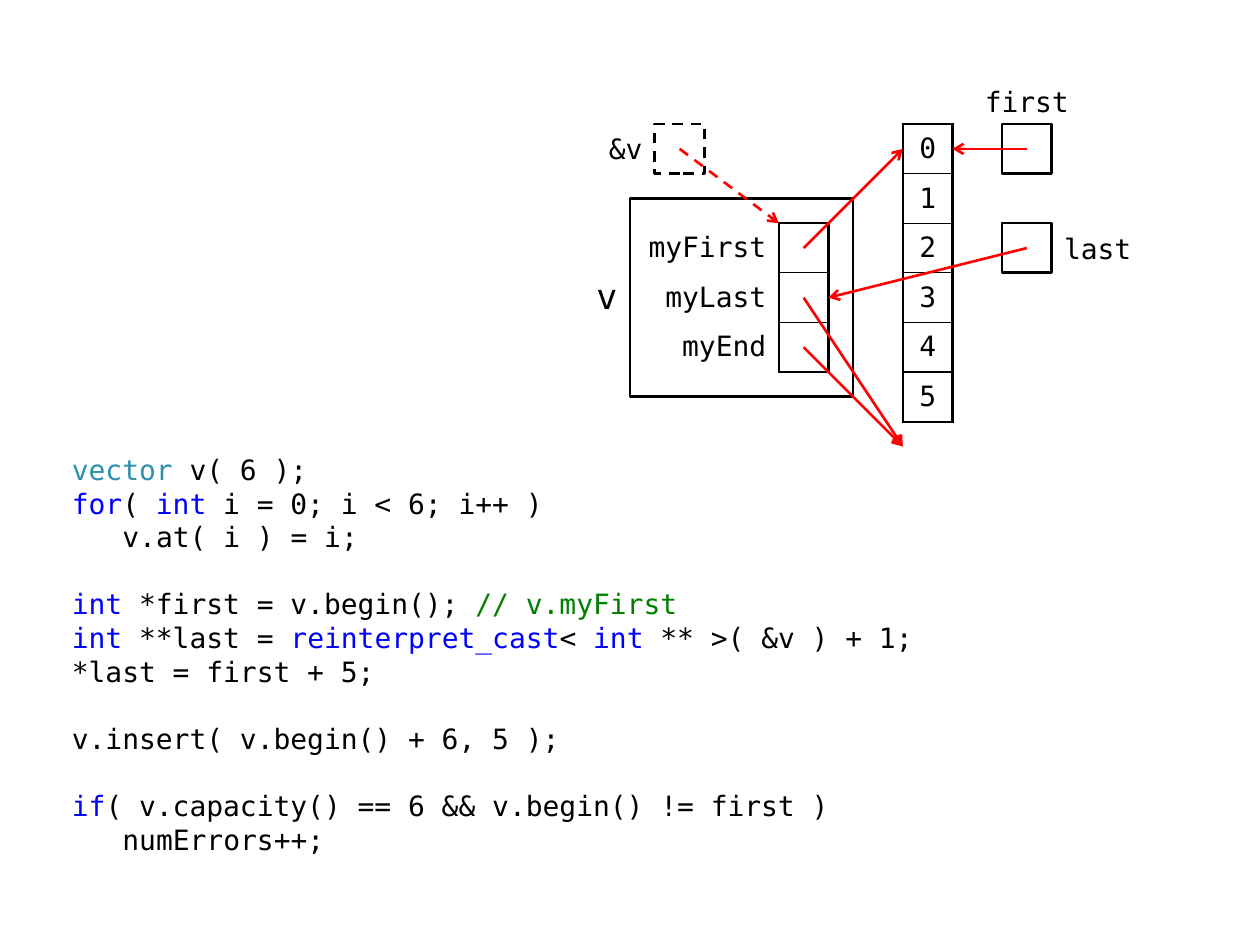
from dataclasses import dataclass

from lxml import etree
from pptx import Presentation
from pptx import util as u
from pptx.dml.color import RGBColor
from pptx.enum import dml, shapes, text
from pptx.oxml.ns import qn

PX = 7200  # EMU per px, so that a cell of 50 px is 1 cm
CELL = 50


@dataclass(frozen=True)
class Theme:
    font: str = "DejaVu Sans Mono"
    size: int = 16
    big: int = 20
    leading: float = 19.2
    ink: str = "000000"
    paper: str = "FFFFFF"
    arrow: str = "FF0000"
    type_name: str = "2B91AF"
    keyword: str = "0000FF"
    comment: str = "008000"
    thick: float = 1.5
    thin: float = 0.75


T = Theme()
LEFT, CENTER, RIGHT = (text.PP_ALIGN.LEFT, text.PP_ALIGN.CENTER,
                       text.PP_ALIGN.RIGHT)
MIDDLE, BOTTOM = text.MSO_ANCHOR.MIDDLE, text.MSO_ANCHOR.BOTTOM

# Each line of code: blank line before, indented, runs of (text, colour)
CODE = [
    (False, False, [("vector", T.type_name), (" v( 6 );", T.ink)]),
    (False, False, [("for", T.keyword), ("( ", T.ink), ("int", T.keyword),
                    (" i = 0; i < 6; i++ )", T.ink)]),
    (False, True, [("v.at( i ) = i;", T.ink)]),
    (True, False, [("int", T.keyword), (" *first = v.begin();", T.ink),
                   (" // v.myFirst", T.comment)]),
    (False, False, [("int", T.keyword), (" **last = ", T.ink),
                    ("reinterpret_cast", T.keyword), ("< ", T.ink),
                    ("int", T.keyword), (" ** >( &v ) + 1;", T.ink)]),
    (False, False, [("*last = first + 5;", T.ink)]),
    (True, False, [("v.insert( v.begin() + 6, 5 );", T.ink)]),
    (True, False, [("if", T.keyword),
                   ("( v.capacity() == 6 && v.begin() != first )", T.ink)]),
    (False, True, [("numErrors++;", T.ink)]),
]


def px(*values):
    return [u.Emu(v * PX) for v in values]


def add_run(p, words, color=T.ink, size=T.size):
    r = p.add_run()
    r.text = words
    r.font.name, r.font.size = T.font, u.Pt(size)
    r.font.color.rgb = RGBColor.from_string(color)


def style_line(line, color, dashed):
    line.color.rgb = RGBColor.from_string(color)
    line.width = u.Pt(T.thick)
    if dashed:
        line.dash_style = dml.MSO_LINE.DASH


def add_box(s, x, y, w=CELL, h=CELL, fill=None, dashed=False):
    sp = s.shapes.add_shape(shapes.MSO_SHAPE.RECTANGLE, *px(x, y, w, h))
    sp.shadow.inherit = False
    if fill:
        sp.fill.solid()
        sp.fill.fore_color.rgb = RGBColor.from_string(fill)
    else:
        sp.fill.background()
    style_line(sp.line, T.ink, dashed)


def add_arrow(s, x1, y1, x2, y2, dashed=False):
    c = s.shapes.add_connector(shapes.MSO_CONNECTOR.STRAIGHT,
                               *px(x1, y1, x2, y2))
    style_line(c.line, T.arrow, dashed)
    etree.SubElement(c.line._get_or_add_ln(), qn("a:tailEnd"), type="arrow")
    etree.SubElement(c._element.spPr, qn("a:effectLst"))


def add_text_frame(s, x, y, w, h, anchor):
    tf = s.shapes.add_textbox(*px(x, y, w, h)).text_frame
    tf.word_wrap = True
    tf.vertical_anchor = anchor
    return tf


def add_label(s, words, x, y, w, align, anchor=MIDDLE, size=T.size):
    p = add_text_frame(s, x, y, w, CELL, anchor).paragraphs[0]
    p.alignment = align
    add_run(p, words, size=size)


def set_borders(cell, widths):
    """Widths in points for left, right, top and bottom; 0 for no border."""
    tcPr = cell._tc.get_or_add_tcPr()
    for side, width in zip("LRTB", widths):
        ln = etree.SubElement(tcPr, qn("a:ln" + side), w=str(u.Pt(width)))
        if width:
            fill = etree.SubElement(ln, qn("a:solidFill"))
            etree.SubElement(fill, qn("a:srgbClr"), val=T.ink)
        else:
            etree.SubElement(ln, qn("a:noFill"))


def add_cells(s, x, y, rows, widths, align):
    """Table whose last column is framed; columns before it are bare."""
    last_row, last_col = len(rows) - 1, len(widths) - 1
    table = s.shapes.add_table(len(rows), len(widths), *px(
        x, y, sum(widths), CELL * len(rows))).table
    table.first_row = table.horz_banding = False
    for col, width in zip(table.columns, widths):
        col.width = px(width)[0]
    for i, row in enumerate(rows):
        table.rows[i].height = px(CELL)[0]
        for j, words in enumerate(row):
            cell = table.cell(i, j)
            cell.vertical_anchor = MIDDLE
            cell.margin_top = cell.margin_bottom = 0
            if j == last_col:
                set_borders(cell, (T.thick, T.thick,
                                   T.thin if i else T.thick,
                                   T.thin if i < last_row else T.thick))
            else:
                set_borders(cell, (0, T.thick, 0, 0))
            cell.fill.background()
            if words:
                p = cell.text_frame.paragraphs[0]
                p.alignment = align
                add_run(p, words)


def add_code(s, x, y, w, h):
    tf = add_text_frame(s, x, y, w, h, text.MSO_ANCHOR.TOP)
    for i, (gap, indented, runs) in enumerate(CODE):
        p = tf.add_paragraph() if i else tf.paragraphs[0]
        p.line_spacing = u.Pt(T.leading)
        p.space_before = u.Pt(T.leading if gap else 0)
        if indented:
            p._p.get_or_add_pPr().set("marL", str(px(51)[0]))
        for words, color in runs:
            add_run(p, words, color)


def main():
    prs = Presentation()
    prs.slide_width, prs.slide_height = u.Inches(10), u.Inches(7.5)
    s = prs.slides.add_slide(prs.slide_layouts[6])

    add_code(s, 60, 450, 875, 425)

    # Vector object and its three members
    add_box(s, 635, 200, 225, 200, fill=T.paper)
    add_label(s, "v", 585, 275, 50, RIGHT, BOTTOM, T.big)
    members = [(name, "") for name in ("myFirst", "myLast", "myEnd")]
    add_cells(s, 635, 225, members, (150, CELL), RIGHT)

    # Elements of the vector
    add_cells(s, 910, 125, [str(n) for n in range(6)], (CELL,), CENTER)

    # Pointer variables and the address of v
    add_box(s, 1010, 125)
    add_label(s, "first", 960, 75, 150, CENTER, BOTTOM)
    add_box(s, 1010, 225)
    add_label(s, "last", 1060, 225, 100, LEFT)
    add_box(s, 660, 125, dashed=True)
    add_label(s, "&v", 585, 125, 75, RIGHT)

    # Arrows from each pointer to its target
    for row, target in enumerate((150, 450, 450)):
        add_arrow(s, 810, 250 + row * CELL, 910, target)
    add_arrow(s, 1035, 150, 960, 150)
    add_arrow(s, 1035, 250, 835, 300)
    add_arrow(s, 685, 150, 785, 225, dashed=True)

    prs.save("out.pptx")


if __name__ == "__main__":
    main()
